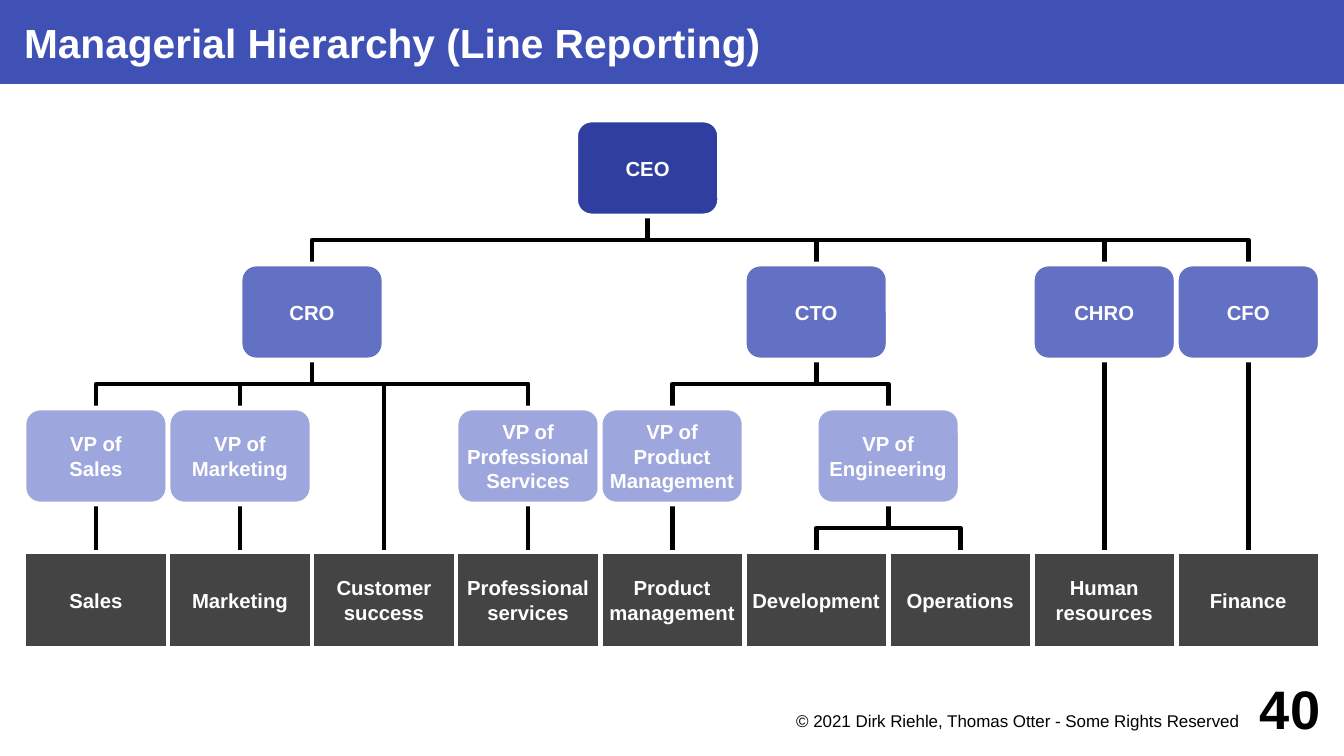
from dataclasses import dataclass

from lxml import etree
from pptx import Presentation
from pptx.dml.color import RGBColor
from pptx.enum.shapes import MSO_CONNECTOR, MSO_SHAPE
from pptx.enum.text import MSO_ANCHOR, PP_ALIGN
from pptx.oxml.ns import qn
from pptx.util import Pt

RECTANGLE, ROUNDED = MSO_SHAPE.RECTANGLE, MSO_SHAPE.ROUNDED_RECTANGLE
STRAIGHT, ELBOW = MSO_CONNECTOR.STRAIGHT, MSO_CONNECTOR.ELBOW
LEFT, CENTER, RIGHT = PP_ALIGN.LEFT, PP_ALIGN.CENTER, PP_ALIGN.RIGHT
TOP, MIDDLE = MSO_ANCHOR.TOP, MSO_ANCHOR.MIDDLE
BOTTOM_SITE, TOP_SITE = 2, 0


@dataclass(frozen=True)
class Theme:
    font: str = "Arial"
    white: RGBColor = RGBColor(0xFF, 0xFF, 0xFF)
    black: RGBColor = RGBColor(0, 0, 0)
    banner: RGBColor = RGBColor(0x3F, 0x51, 0xB5)
    levels: tuple = tuple(
        RGBColor.from_string(color) for color in ("303F9F", "6371C4", "9EA7DD", "444444")
    )
    title_size: float = 24
    node_size: float = 12
    footer_size: float = 10
    number_size: float = 32
    line_width: float = 2.83


THEME = Theme()
COLUMNS = 9
ROWS = 4
BOX_SHARE = 2 / 3  # height of a node as a share of the row pitch

# key: (label, level, column, key of the manager)
HIERARCHY = {
    "ceo": ("CEO", 0, 3.83, None),
    "cro": ("CRO", 1, 1.5, "ceo"),
    "cto": ("CTO", 1, 5, "ceo"),
    "chro": ("CHRO", 1, 7, "ceo"),
    "cfo": ("CFO", 1, 8, "ceo"),
    "vp sales": ("VP of\nSales", 2, 0, "cro"),
    "vp marketing": ("VP of\nMarketing", 2, 1, "cro"),
    "vp services": ("VP of\nProfessional\nServices", 2, 3, "cro"),
    "vp product": ("VP of\nProduct\nManagement", 2, 4, "cto"),
    "vp engineering": ("VP of\nEngineering", 2, 5.5, "cto"),
    "sales": ("Sales", 3, 0, "vp sales"),
    "marketing": ("Marketing", 3, 1, "vp marketing"),
    "success": ("Customer\nsuccess", 3, 2, "cro"),
    "services": ("Professional\nservices", 3, 3, "vp services"),
    "product": ("Product\nmanagement", 3, 4, "vp product"),
    "development": ("Development", 3, 5, "vp engineering"),
    "operations": ("Operations", 3, 6, "vp engineering"),
    "hr": ("Human\nresources", 3, 7, "chro"),
    "finance": ("Finance", 3, 8, "cfo"),
}


def write(shape, text, size, color, bold=True, align=CENTER, anchor=MIDDLE,
          insets=(0, 0, 0, 0), wrap=True):
    """Fill a shape with one paragraph per line; insets are left, top, right, bottom."""
    frame = shape.text_frame
    frame.word_wrap = wrap
    frame.vertical_anchor = anchor
    (frame.margin_left, frame.margin_top,
     frame.margin_right, frame.margin_bottom) = map(Pt, insets)
    frame.text = text
    for paragraph in frame.paragraphs:
        paragraph.alignment = align
        font = paragraph.font
        font.name, font.size, font.bold = THEME.font, Pt(size), bold
        font.color.rgb = color


def add_block(slide, kind, box, fill):
    shape = slide.shapes.add_shape(kind, *map(Pt, box))
    shape.shadow.inherit = False
    shape.fill.solid()
    shape.fill.fore_color.rgb = fill
    shape.line.fill.background()
    return shape


def add_title(slide, box, text):
    banner = add_block(slide, RECTANGLE, box, THEME.banner)
    write(banner, text, THEME.title_size, THEME.white, align=LEFT, insets=(14.17, 0, 0, 0))


def add_node(slide, box, label, level):
    kind = RECTANGLE if level == ROWS - 1 else ROUNDED
    node = add_block(slide, kind, box, THEME.levels[level])
    node.line.color.rgb = THEME.white
    node.line.width = Pt(THEME.line_width)
    write(node, label, THEME.node_size, THEME.white, insets=(6, 5, 6, 5), wrap=False)
    return node


def turn_elbow(connector, start, end, drop):
    """Make an elbow leave downwards and bend after the given drop."""
    (x1, y1), (x2, y2) = start, end
    length, span = y2 - y1, abs(x2 - x1)
    connector.left = Pt((x1 + x2 - length) / 2)
    connector.top = Pt((y1 + y2 - span) / 2)
    connector.width, connector.height = Pt(length), Pt(span)
    properties = connector._element.spPr
    transform = properties.find(qn("a:xfrm"))
    for name in ("flipH", "flipV"):
        transform.attrib.pop(name, None)
    if x2 > x1:
        transform.set("rot", "16200000")
        transform.set("flipH", "1")
    else:
        transform.set("rot", "5400000")
    adjustments = properties.find(qn("a:prstGeom")).find(qn("a:avLst"))
    etree.SubElement(adjustments, qn("a:gd"), name="adj1",
                     fmla=f"val {round(drop / length * 100000)}")


def add_reporting_line(slide, manager, report, drop):
    """Join a (shape, box) manager to a report, behind all nodes."""
    manager_shape, (left, top, width, height) = manager
    report_shape, (report_left, report_top, report_width, _) = report
    start = (left + width / 2, top + height)
    end = (report_left + report_width / 2, report_top)
    straight = start[0] == end[0]
    connector = slide.shapes.add_connector(
        STRAIGHT if straight else ELBOW, *map(Pt, start + end))
    connector.line.color.rgb = THEME.black
    connector.line.width = Pt(THEME.line_width)
    etree.SubElement(connector._element.spPr, qn("a:effectLst"))
    if straight:
        connector.begin_connect(manager_shape, BOTTOM_SITE)
        connector.end_connect(report_shape, TOP_SITE)
    else:
        turn_elbow(connector, start, end, drop)
    slide.shapes._spTree.insert(2, connector._element)


def add_hierarchy(slide, box):
    left, top, width, height = box
    column_width = width / COLUMNS
    row_pitch = height / (ROWS - 1 + BOX_SHARE)
    node_height = row_pitch * BOX_SHARE
    drop = (row_pitch - node_height) / 2
    nodes = {}
    for key, (label, level, column, _) in HIERARCHY.items():
        node_box = (left + column * column_width, top + level * row_pitch,
                    column_width, node_height)
        nodes[key] = add_node(slide, node_box, label, level), node_box
    for key, (_, _, _, manager) in HIERARCHY.items():
        if manager:
            add_reporting_line(slide, nodes[manager], nodes[key], drop)


def add_footer(slide, box, copyright_line, number):
    left, top, width, height = box
    number_width = 56.7
    note = slide.shapes.add_textbox(
        Pt(left), Pt(top + 21.26), Pt(width - 42.52), Pt(21.26))
    write(note, copyright_line, THEME.footer_size, THEME.black, bold=False,
          align=RIGHT, anchor=TOP, insets=(0, 1.42, 5.67, 0))
    page = slide.shapes.add_textbox(
        Pt(left + width - number_width), Pt(top), Pt(number_width), Pt(height))
    write(page, number, THEME.number_size, THEME.black, align=RIGHT)


def main():
    presentation = Presentation()
    presentation.slide_width, presentation.slide_height = Pt(793.5), Pt(446.4)
    slide = presentation.slides.add_slide(presentation.slide_layouts[6])
    add_title(slide, (0, 0, 793.5, 49.6), "Managerial Hierarchy (Line Reporting)")
    add_hierarchy(slide, (14.17, 70.87, 765.36, 311.8))
    add_footer(slide, (425.2, 396.85, 354.33, 42.52),
               "© 2021 Dirk Riehle, Thomas Otter - Some Rights Reserved", "40")
    presentation.save("out.pptx")


if __name__ == "__main__":
    main()
